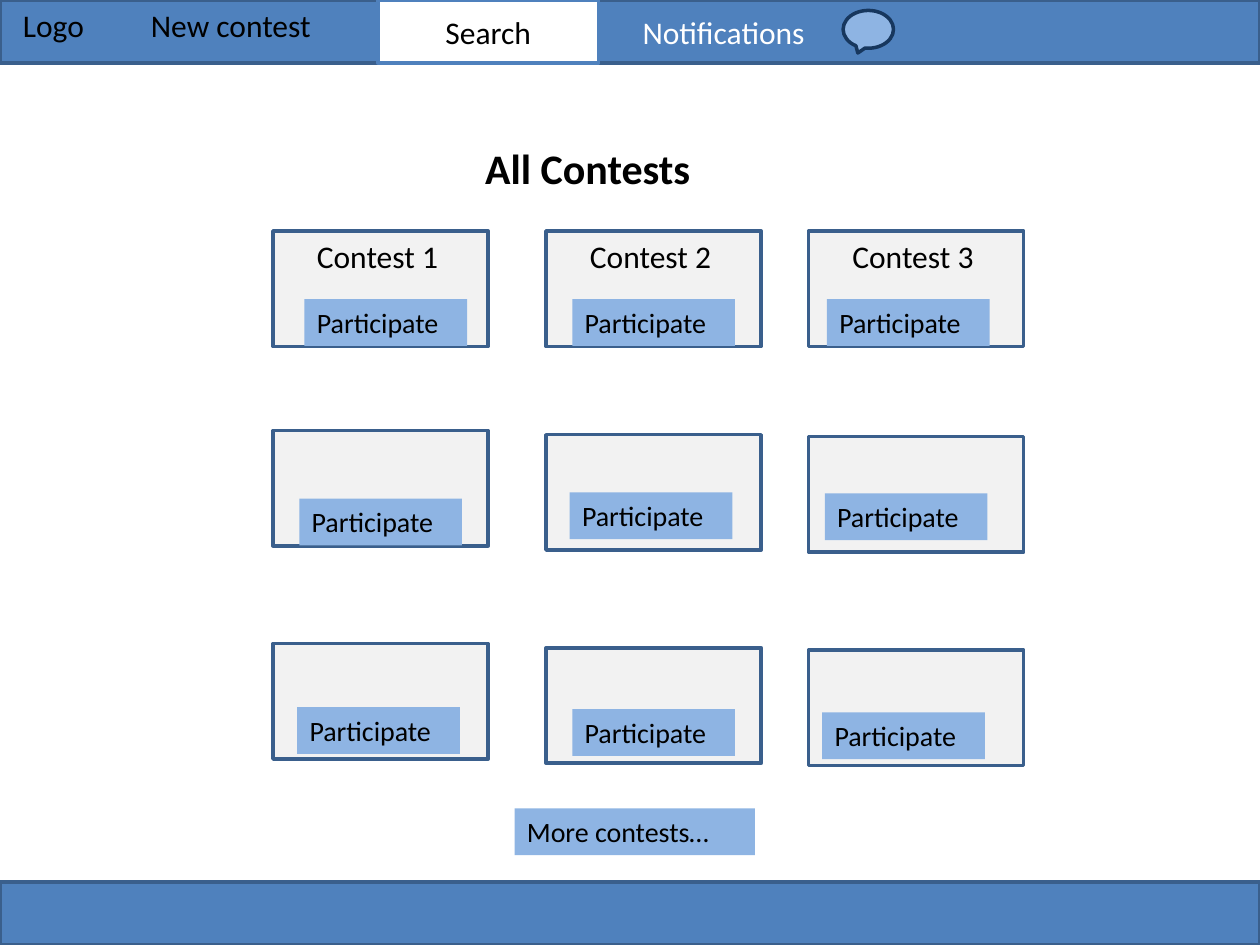
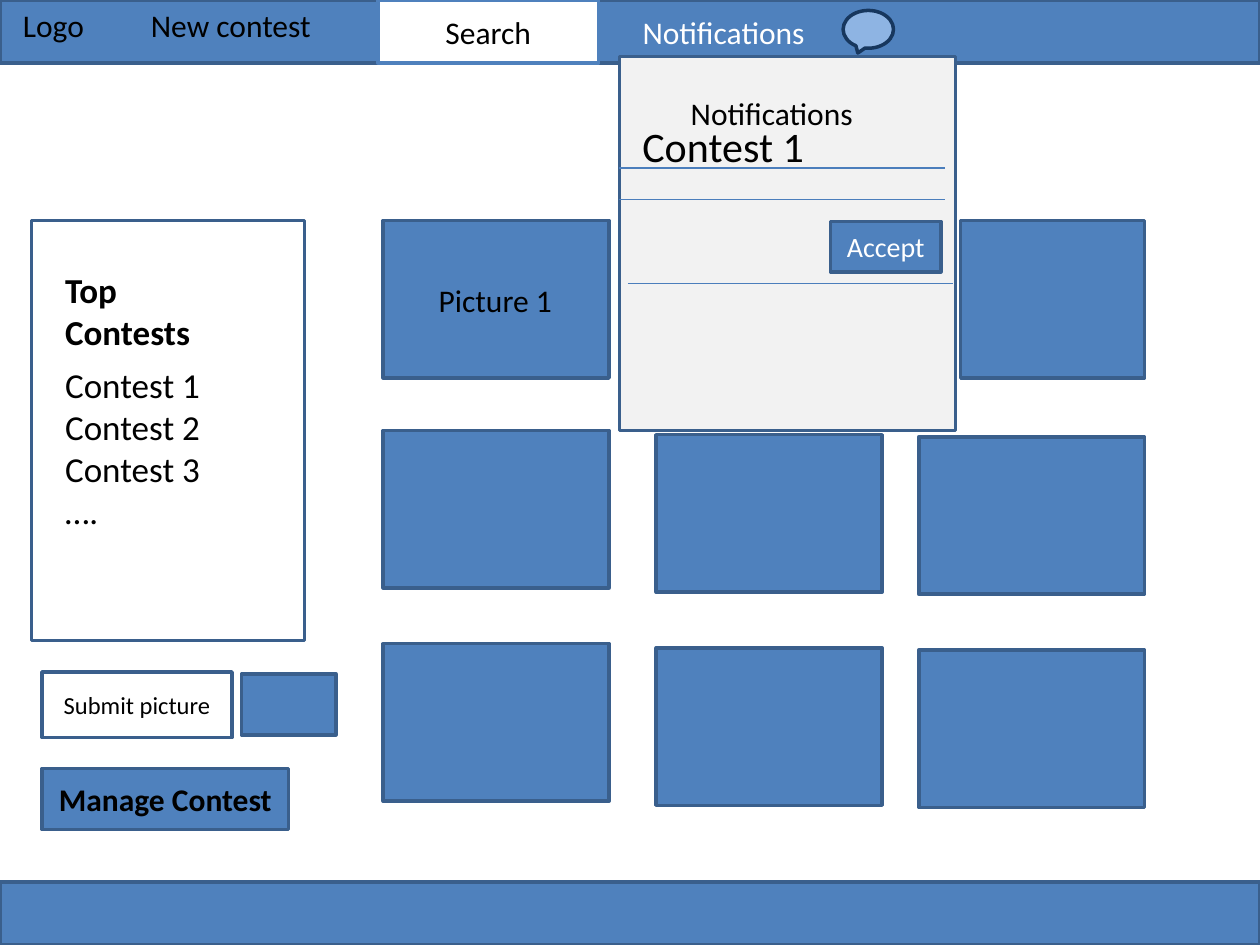
from pptx import Presentation
from pptx.dml.color import RGBColor
from pptx.enum.shapes import MSO_CONNECTOR, MSO_SHAPE
from pptx.enum.text import MSO_ANCHOR as Anchor, MSO_AUTO_SIZE, PP_ALIGN as Align
from pptx.oxml.ns import qn
from pptx.util import Inches, Pt

# Grid of 120 columns by 90 rows, twelve to the inch
COLUMNS, ROWS = 120, 90
UNIT = Inches(10) / COLUMNS
FONT = "Calibri"
BLUE, EDGE, RULE = "4F81BD", "3A5F8C", "4B7EBC"
LIGHT, NAVY, GREY = "8EB4E3", "17375E", "F2F2F2"
WHITE, BLACK = "FFFFFF", "000000"

color = RGBColor.from_string


def write(shape, *lines, size=18, ink=BLACK, bold=False, align=Align.LEFT,
          anchor=Anchor.TOP, wrap=True, indent=0):
    frame = shape.text_frame
    frame.auto_size = MSO_AUTO_SIZE.NONE
    frame.word_wrap = wrap
    frame.vertical_anchor = anchor
    frame.margin_left = Inches(0.1) + round(indent * UNIT)
    for number, line in enumerate(lines):
        para = frame.add_paragraph() if number else frame.paragraphs[0]
        para.alignment = align
        para.space_before = Pt(0)
        span = para.add_run()
        span.text = line
        span.font.name, span.font.size, span.font.bold = FONT, Pt(size), bold
        span.font.color.rgb = color(ink)


def add_box(page, *place, fill=None, edge=None, kind=MSO_SHAPE.RECTANGLE, text=None, **style):
    """Place is left, top, width, height in grid units; kind None gives a text box."""
    place = [round(length * UNIT) for length in place]
    if kind is None:
        box = page.shapes.add_textbox(*place)
    else:
        box = page.shapes.add_shape(kind, *place)
        box.shadow.inherit = False
        if fill:
            box.fill.solid()
            box.fill.fore_color.rgb = color(fill)
        else:
            box.fill.background()
        if edge:
            box.line.color.rgb = color(edge)
            box.line.width = Pt(2)
        else:
            box.line.fill.background()
    if text:
        write(box, text, **style)


deck = Presentation()
deck.slide_width = round(COLUMNS * UNIT)
deck.slide_height = round(ROWS * UNIT)
content_layout, title_layout = deck.slide_layouts[1], deck.slide_layouts[5]
overview = deck.slides.add_slide(title_layout)
gallery = deck.slides.add_slide(content_layout)

centered = dict(align=Align.CENTER, anchor=Anchor.MIDDLE)
framed = dict(fill=BLUE, edge=EDGE)
label = dict(kind=None, wrap=False)

# Navigation bar and footer
for page in (overview, gallery):
    add_box(page, 0, 0, COLUMNS, 6, **framed, text="Notifications", ink=WHITE,
            anchor=Anchor.MIDDLE, indent=60)
    add_box(page, 36, 0, 21, 6, fill=WHITE, edge=BLUE, text="Search", **centered)
    add_box(page, 0, 84, COLUMNS, 6, **framed)
    add_box(page, 1, 0, 8.3, 4.8, **label, text="Logo")
    add_box(page, 13.2, 0, 17.8, 4.8, **label, text="New contest")
    add_box(page, 80.3, 1, 4.8, 3.6, fill=LIGHT, edge=NAVY, kind=MSO_SHAPE.OVAL_CALLOUT)

# Titles and list
body = gallery.placeholders[1]
placeholders = [
    (overview.shapes.title, (45, 13, 27.6, 6), ["All Contests"], 24, True),
    (gallery.shapes.title, (5, 25, 20, 5), ["Top Contests"], 20, True),
    (body, (5, 34, 20, 17.3), ["Contest 1", "Contest 2", "Contest 3", "…."], 20, False),
]
for holder, place, lines, size, bold in placeholders:
    holder.left, holder.top, holder.width, holder.height = (
        round(length * UNIT) for length in place)
    write(holder, *lines, size=size, bold=bold)
for para in body.text_frame.paragraphs:
    properties = para._p.get_or_add_pPr()
    properties.set("marL", "0")
    properties.set("indent", "0")
    properties.append(properties.makeelement(qn("a:buNone"), {}))

# Contest cards, each with its button
card_lefts = [26, 52, 77]
card_tops = [[22, 22, 22], [41, 41.4, 41.6], [61.3, 61.7, 61.9]]
button_places = [
    [(29, 28.5), (54.5, 28.5), (78.75, 28.5)],
    [(28.5, 47.5), (54.25, 46.9), (78.55, 47)],
    [(28.3, 67.35), (54.5, 67.55), (78.3, 67.85)],
]
button = dict(fill=LIGHT, size=16)
for tops, places in zip(card_tops, button_places):
    for left, top, place in zip(card_lefts, tops, places):
        add_box(overview, left, top, 20.5, 11, fill=GREY, edge=EDGE)
        add_box(overview, *place, 15.5, 4.45, **button, text="Participate")
for number, left in enumerate(card_lefts, 1):
    add_box(overview, left + 3, 22, 14, 4.8, **label, text=f"Contest {number}")
add_box(overview, 49, 77, 22.9, 4.45, **button, text="More contests…")

# Notification panel
add_box(gallery, 59, 5.4, 32, 35.6, fill=GREY, edge=EDGE)
add_box(gallery, 64.6, 8.4, 18.1, 4.8, **label, text="Notifications")
for left, top in [(59, 16), (59, 19), (59.8, 27)]:
    ends = [round(length * UNIT) for length in (left, top, left + 31, top)]
    rule = gallery.shapes.add_connector(MSO_CONNECTOR.STRAIGHT, *ends)
    rule.line.color.rgb = color(RULE)
    rule.line.width = Pt(0.75)
    drawing = rule._element.spPr
    drawing.append(drawing.makeelement(qn("a:effectLst"), {}))
add_box(gallery, 60, 10.9, 19, 6, kind=None, text="Contest 1", size=24)
add_box(gallery, 79.1, 21.1, 10.5, 4.8, **framed, text="Accept", size=16, ink=WHITE, **centered)

# Picture grid: the panel covers the middle of the top row
add_box(gallery, 36.5, 21, 21.5, 15, **framed)
add_box(gallery, 91.5, 21, 17.5, 15, **framed)
for tops in card_tops[1:]:
    for left, top in zip(card_lefts, tops):
        add_box(gallery, left + 10.5, top, 21.5, 15, **framed)
add_box(gallery, 40.6, 26.2, 13.3, 4.8, **label, text="Picture 1")

# Sidebar
add_box(gallery, 3, 21, 26, 40, edge=EDGE)
add_box(gallery, 4, 64, 18.1, 6.25, edge=EDGE, text="Submit picture", size=14, **centered)
add_box(gallery, 23, 64.2, 9, 5.8, **framed)
add_box(gallery, 4, 73.2, 23.5, 5.8, **framed, text="Manage Contest", bold=True, **centered)

deck.save("out.pptx")
